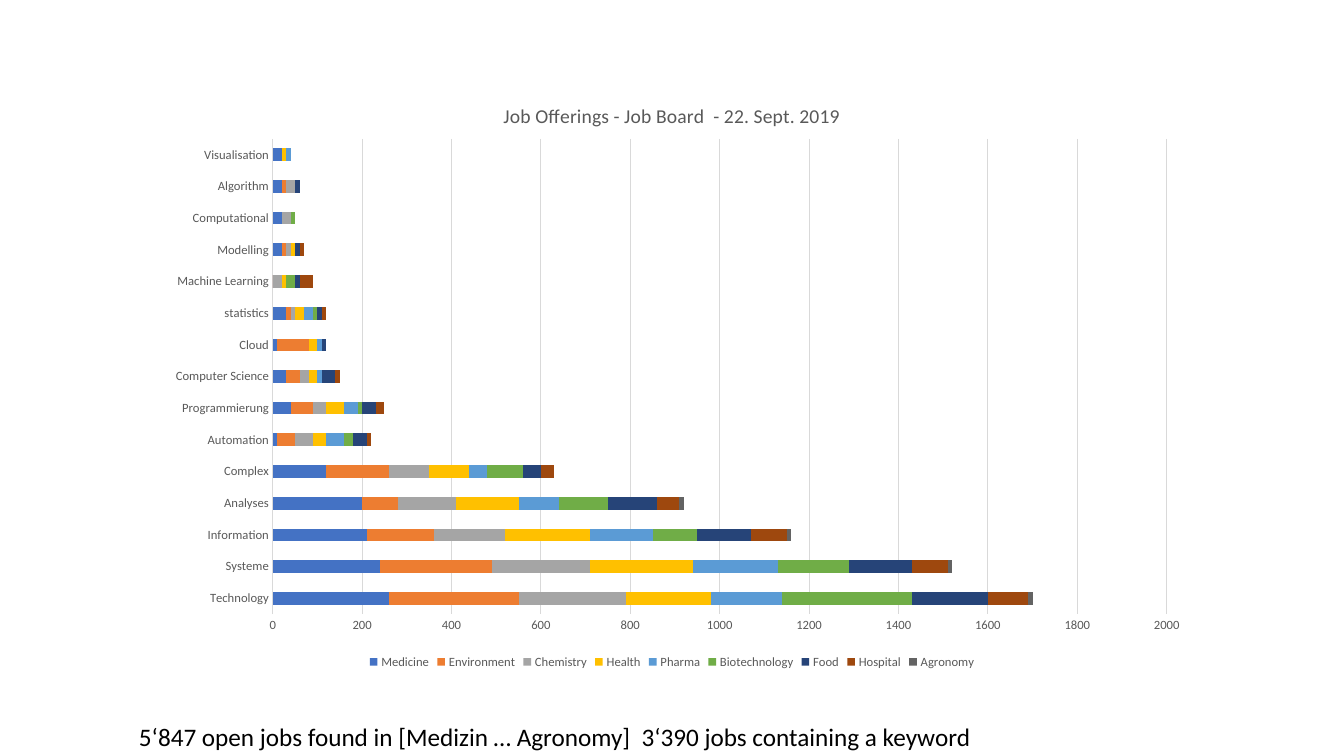
from typing import NamedTuple

from lxml import etree
from pptx import Presentation
from pptx.chart.data import CategoryChartData
from pptx.dml.color import RGBColor
from pptx.enum.chart import XL_CHART_TYPE, XL_LEGEND_POSITION, XL_TICK_MARK
from pptx.enum.text import MSO_AUTO_SIZE
from pptx.util import Inches, Pt

BAR_STACKED = XL_CHART_TYPE.BAR_STACKED
LEGEND_BOTTOM = XL_LEGEND_POSITION.BOTTOM
NO_TICKS = XL_TICK_MARK.NONE
FIT_SHAPE = MSO_AUTO_SIZE.SHAPE_TO_FIT_TEXT
CHART_NS = "http://schemas.openxmlformats.org/drawingml/2006/chart"
FONT = "Calibri"
COLORS = {
    "text": "000000", "label": "595959", "grid": "D9D9D9",
    "medicine": "4472C4", "environment": "ED7D31", "chemistry": "A5A5A5",
    "health": "FFC000", "pharma": "5B9BD5", "biotechnology": "70AD47",
    "food": "264478", "hospital": "9E480E", "agronomy": "636363",
}


class Field(NamedTuple):
    name: str
    jobs: tuple


KEYWORDS = (
    "Technology", "Systeme", "Information", "Analyses", "Complex",
    "Automation", "Programmierung", "Computer Science", "Cloud", "statistics",
    "Machine Learning", "Modelling", "Computational", "Algorithm", "Visualisation",
)
FIELDS = (
    Field("Medicine", (260, 240, 210, 200, 120, 10, 40, 30, 10, 30, 0, 20, 20, 20, 20)),
    Field("Environment", (290, 250, 150, 80, 140, 40, 50, 30, 70, 10, 0, 10, None, 10, 0)),
    Field("Chemistry", (240, 220, 160, 130, 90, 40, 30, 20, 0, 10, 20, 10, 20, 20, 0)),
    Field("Health", (190, 230, 190, 140, 90, 30, 40, 20, 20, 20, 10, 10, 0, 0, 10)),
    Field("Pharma", (160, 190, 140, 90, 40, 40, 30, 10, 10, 20, None, 0, 0, 0, 10)),
    Field("Biotechnology", (290, 160, 100, 110, 80, 20, 10, 0, 0, 10, 20, 0, 10, 0, 0)),
    Field("Food", (170, 140, 120, 110, 40, 30, 30, 30, 10, 10, 10, 10, None, 10, 0)),
    Field("Hospital", (90, 80, 80, 50, 30, 10, 20, 10, 0, 10, 30, 10, 0, 0, None)),
    Field("Agronomy", (10, 10, 10, 10, 0, None, None, None, 0, None, 0,
                       None, None, None, None)),
)


def color(name: str) -> RGBColor:
    return RGBColor.from_string(COLORS[name])


def format_font(font, size: float, color_name: str) -> None:
    font.name, font.size, font.bold = FONT, Pt(size), False
    font.color.rgb = color(color_name)


def write_text(text_frame, text: str, *, size: float, color_name: str) -> None:
    run = text_frame.paragraphs[0].add_run()
    run.text = text
    format_font(run.font, size, color_name)


def format_line(line) -> None:
    line.color.rgb = color("grid")
    line.width = Pt(0.75)


def format_axis(axis) -> None:
    axis.major_tick_mark = axis.minor_tick_mark = NO_TICKS
    format_font(axis.tick_labels.font, 9, "label")


def place_plot(chart, **fractions: float) -> None:
    """Fix the inner plot area as fractions (x, y, w, h) of the chart."""
    plot_area = chart.plots[0]._element.getparent()
    for layout in plot_area.findall(f"{{{CHART_NS}}}layout"):
        plot_area.remove(layout)
    layout = etree.Element(f"{{{CHART_NS}}}layout")
    manual = etree.SubElement(layout, f"{{{CHART_NS}}}manualLayout")
    settings = {"layoutTarget": "inner", "xMode": "edge", "yMode": "edge", **fractions}
    for tag, value in settings.items():
        etree.SubElement(manual, f"{{{CHART_NS}}}{tag}").set("val", str(value))
    plot_area.insert(0, layout)


def add_jobs_chart(slide) -> None:
    data = CategoryChartData()
    data.categories = KEYWORDS
    for field in FIELDS:
        data.add_series(field.name, field.jobs)
    chart = slide.shapes.add_chart(
        BAR_STACKED, Inches(1.4), Inches(0.81), Inches(10.53), Inches(5.87), data
    ).chart
    format_font(chart.font, 10, "text")

    # Title and legend
    write_text(chart.chart_title.text_frame, "Job Offerings - Job Board  - 22. Sept. 2019",
               size=14, color_name="label")
    chart.has_legend = True
    chart.legend.position = LEGEND_BOTTOM
    chart.legend.include_in_layout = False
    format_font(chart.legend.font, 9, "label")

    # Axes
    category_axis, value_axis = chart.category_axis, chart.value_axis
    for axis in (category_axis, value_axis):
        format_axis(axis)
    format_line(category_axis.format.line)
    value_axis.format.line.fill.background()
    value_axis.minimum_scale, value_axis.maximum_scale = 0, 2000
    value_axis.major_unit = 200
    value_axis.has_major_gridlines = True
    format_line(value_axis.major_gridlines.format.line)

    # Bars
    plot = chart.plots[0]
    plot.gap_width, plot.overlap = 150, 100
    plot.vary_by_categories = False
    for series in plot.series:
        series.format.fill.solid()
        series.format.fill.fore_color.rgb = color(series.name.lower())
        series.invert_if_negative = False
    place_plot(chart, x=0.124, y=0.097, w=0.842, h=0.803)


presentation = Presentation()
presentation.slide_width, presentation.slide_height = Inches(13.33), Inches(7.5)
slide = presentation.slides.add_slide(presentation.slide_layouts[6])

add_jobs_chart(slide)

# Summary line below the chart
summary = slide.shapes.add_textbox(Inches(1.28), Inches(7.11), Inches(8.61), Inches(0.4))
summary.text_frame.word_wrap = False
summary.text_frame.auto_size = FIT_SHAPE
write_text(
    summary.text_frame,
    "5‘847 open jobs found in [Medizin … Agronomy]  3‘390 jobs containing a keyword ",
    size=18, color_name="text",
)

presentation.save("out.pptx")
